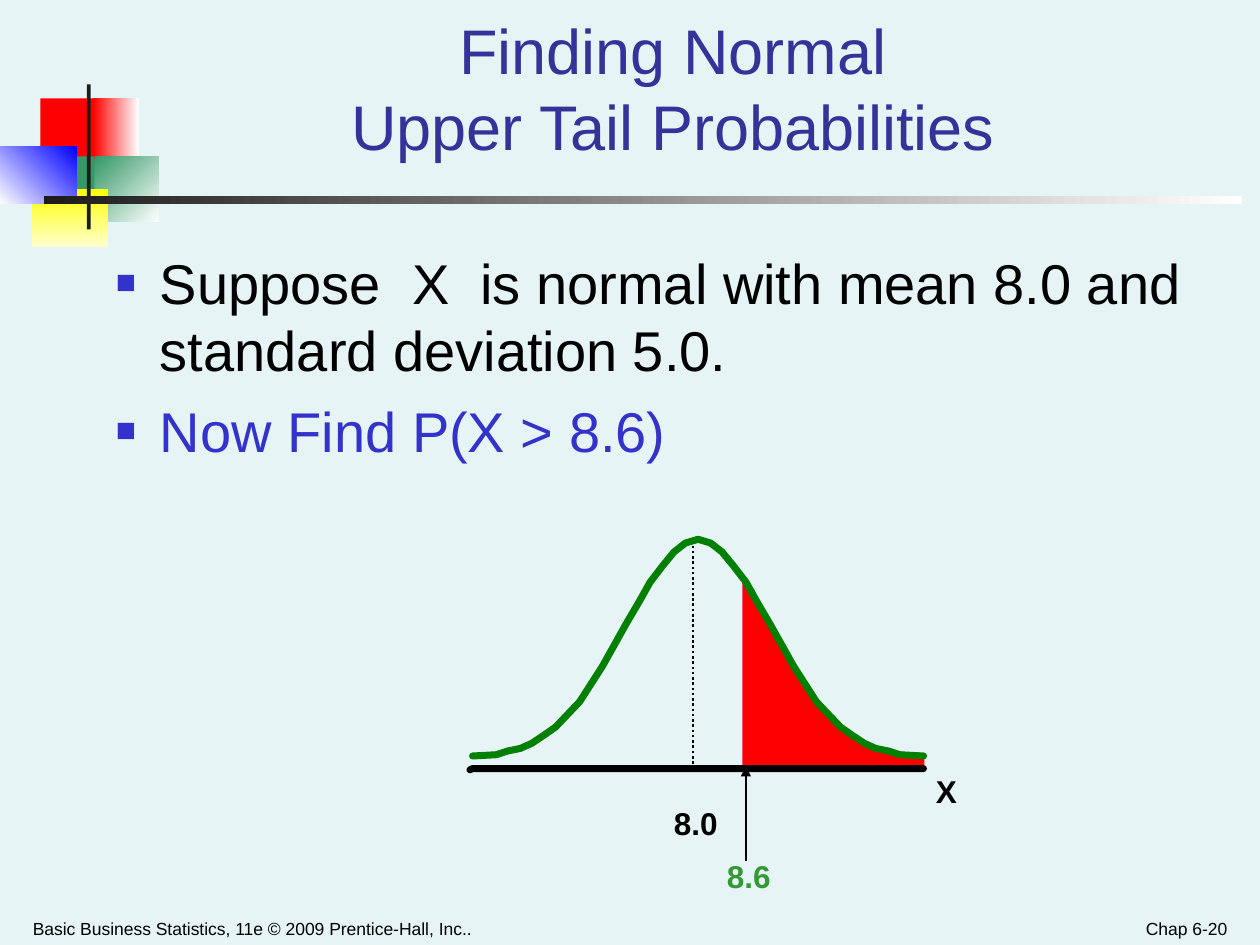
from lxml.etree import SubElement
from pptx import Presentation
from pptx.dml.color import RGBColor
from pptx.enum.dml import MSO_LINE
from pptx.enum.shapes import MSO_CONNECTOR, MSO_SHAPE
from pptx.enum.text import MSO_ANCHOR, MSO_AUTO_SIZE, PP_ALIGN
from pptx.oxml.ns import qn
from pptx.util import Inches, Pt

COLORS = {
    "background": "E7F4F5", "red": "FF0000", "green": "339966", "yellow": "FFFF00",
    "cream": "FFFFCC", "blue": "0000FF", "white": "FFFFFF", "charcoal": "1C1C1C",
    "black": "000000", "title": "333399", "accent": "3333CC", "curve": "008000",
    "cutoff": "339933",
}

# left, top, width, height, colours (two make a gradient), clockwise angle
DECORATION = [
    (0.32, 0.78, 0.48, 0.52, ["red"], 0),
    (0.74, 0.78, 0.36, 0.52, ["red", "white"], 0),
    (0.75, 1.24, 0.51, 0.52, ["green", "white"], 45),
    (0.43, 1.24, 0.32, 0.52, ["green"], 0),
    (0.25, 1.5, 0.61, 0.46, ["yellow", "cream"], 90),
    (0, 1.16, 0.61, 0.46, ["white", "blue"], 315),
    (0.69, 0.67, 0.03, 1.15, ["charcoal"], 0),
    (0.35, 1.56, 9.51, 0.06, ["charcoal", "white"], 0),
]

FRAME = {"word_wrap": True, "margin_left": Inches(0.09), "margin_right": Inches(0.09)}
BOTTOM = FRAME | {"vertical_anchor": MSO_ANCHOR.BOTTOM}
LABEL = {"auto_size": MSO_AUTO_SIZE.SHAPE_TO_FIT_TEXT, "word_wrap": False}
AXIS_LABEL = LABEL | {"word_wrap": True}
SMALL = {"size": Pt(10)}
BOLD = {"size": Pt(18), "bold": True}

# box, lines as (text, colour), frame format, font format, alignment
TEXTS = [
    ((0.17, 7.15, 5.08, 0.35),
     [("Basic Business Statistics, 11e © 2009 Prentice-Hall, Inc..", "black")],
     BOTTOM, SMALL, PP_ALIGN.LEFT),
    ((7.5, 7.15, 2.33, 0.35), [("Chap 6-20", "black")], BOTTOM, SMALL, PP_ALIGN.RIGHT),
    ((1.08, 0.42, 8.52, 0.92), [("Finding Normal\vUpper Tail Probabilities", "title")],
     BOTTOM, {"size": Pt(36)}, PP_ALIGN.CENTER),
    ((7.33, 6.08, 0.42, 0.4), [("X", "black")], AXIS_LABEL, BOLD, PP_ALIGN.LEFT),
    ((5.67, 6.75, 0.55, 0.4), [("8.6", "cutoff")], LABEL, BOLD, PP_ALIGN.LEFT),
    ((5.25, 6.33, 0.55, 0.4), [("8.0", "black")], LABEL, BOLD, PP_ALIGN.LEFT),
]
BODY_BOX = (0.83, 1.92, 8.83, 4.96)
BODY = [
    ("Suppose  X  is normal with mean 8.0 and standard deviation 5.0.", "black"),
    ("Now Find P(X > 8.6)", "accent"),
]

PEAK_X = 5.54
LEFT_CURVE = [
    (3.75, 6), (3.94, 5.99), (4.03, 5.96), (4.13, 5.94), (4.22, 5.9), (4.31, 5.84),
    (4.41, 5.77), (4.6, 5.57), (4.78, 5.29), (4.97, 4.95), (5.07, 4.78), (5.16, 4.62),
    (5.26, 4.49), (5.35, 4.38), (5.44, 4.31), (PEAK_X, 4.28),
]
RIGHT_CURVE = [(2 * PEAK_X - x, y) for x, y in LEFT_CURVE]
UPPER_TAIL = [
    (5.9, 6.1), (5.9, 4.57), (5.94, 4.69), (6.04, 4.84), (6.1, 4.98), (6.17, 5.08),
    (6.24, 5.23), (6.37, 5.43), (6.48, 5.58), (6.66, 5.77), (6.95, 5.94), (7.33, 6),
    (7.33, 6.1),
]
AXIS = [(3.73, 6.11), (3.75, 6.1), (7.33, 6.1)]


def color(name):
    return RGBColor.from_string(COLORS[name])


def apply_format(target, values):
    for name, value in values.items():
        setattr(target, name, value)


def add_block(slide, left, top, width, height, colors, angle):
    block = slide.shapes.add_shape(
        MSO_SHAPE.RECTANGLE, *map(Inches, (left, top, width, height)))
    block.shadow.inherit = False
    block.line.fill.background()
    if len(colors) == 1:
        block.fill.solid()
        block.fill.fore_color.rgb = color(colors[0])
        return
    block.fill.gradient()
    block.fill.gradient_angle = (360 - angle) % 360
    for position, (stop, name) in enumerate(zip(block.fill.gradient_stops, colors)):
        stop.position = position
        stop.color.rgb = color(name)


def add_text(slide, box, lines, frame_format, font_format, alignment, bulleted=False):
    frame = slide.shapes.add_textbox(*map(Inches, box)).text_frame
    apply_format(frame, frame_format)
    for index, (text, name) in enumerate(lines):
        paragraph = frame.add_paragraph() if index else frame.paragraphs[0]
        paragraph.text = text
        paragraph.alignment = alignment
        if bulleted:
            if index:
                paragraph.space_before = Pt(8)
            add_bullet(paragraph)
        apply_format(paragraph.font, {"name": "Arial"} | font_format)
        paragraph.font.color.rgb = color(name)


def add_bullet(paragraph):
    properties = paragraph._p.get_or_add_pPr()
    properties.set("marL", str(Inches(0.35)))
    properties.set("indent", str(Inches(-0.35)))
    bullet_color = SubElement(properties, qn("a:buClr"))
    SubElement(bullet_color, qn("a:srgbClr"), val=COLORS["accent"])
    SubElement(properties, qn("a:buSzPct"), val="60000")
    SubElement(properties, qn("a:buFont"), typeface="Arial")
    SubElement(properties, qn("a:buChar"), char="■")


def add_path(slide, points, name, width, filled=False):
    start, *rest = [(Inches(x), Inches(y)) for x, y in points]
    builder = slide.shapes.build_freeform(*start)
    builder.add_line_segments(rest, close=filled)
    path = builder.convert_to_shape()
    path.shadow.inherit = False
    path.line.color.rgb = color(name)
    path.line.width = Pt(width)
    if filled:
        path.fill.solid()
        path.fill.fore_color.rgb = color(name)
    else:
        path.fill.background()
        outline = path.line._get_or_add_ln()
        outline.set("cap", "rnd")
        SubElement(outline, qn("a:round"))


def add_line(slide, start, end, width):
    line = slide.shapes.add_connector(
        MSO_CONNECTOR.STRAIGHT, *map(Inches, (*start, *end)))
    line.line.color.rgb = color("black")
    line.line.width = Pt(width)
    SubElement(line._element.spPr, qn("a:effectLst"))
    return line


def main():
    presentation = Presentation()
    presentation.slide_width, presentation.slide_height = Inches(10), Inches(7.5)
    slide = presentation.slides.add_slide(presentation.slide_layouts[6])
    slide.background.fill.solid()
    slide.background.fill.fore_color.rgb = color("background")

    for block in DECORATION:
        add_block(slide, *block)
    add_text(slide, BODY_BOX, BODY, FRAME, {"size": Pt(32)}, PP_ALIGN.LEFT, bulleted=True)

    add_path(slide, UPPER_TAIL, "red", 1, filled=True)
    for curve in (RIGHT_CURVE, LEFT_CURVE):
        add_path(slide, curve, "curve", 4)
    add_path(slide, AXIS, "black", 4)
    for text in TEXTS:
        add_text(slide, *text)

    cutoff_arrow = add_line(slide, (5.92, 6.83), (5.92, 6.08), 1)
    SubElement(cutoff_arrow.line._get_or_add_ln(), qn("a:tailEnd"), type="triangle")
    mean_line = add_line(slide, (5.5, 4.33), (5.5, 6.08), 1.5)
    mean_line.line.dash_style = MSO_LINE.ROUND_DOT

    presentation.save("out.pptx")


if __name__ == "__main__":
    main()
